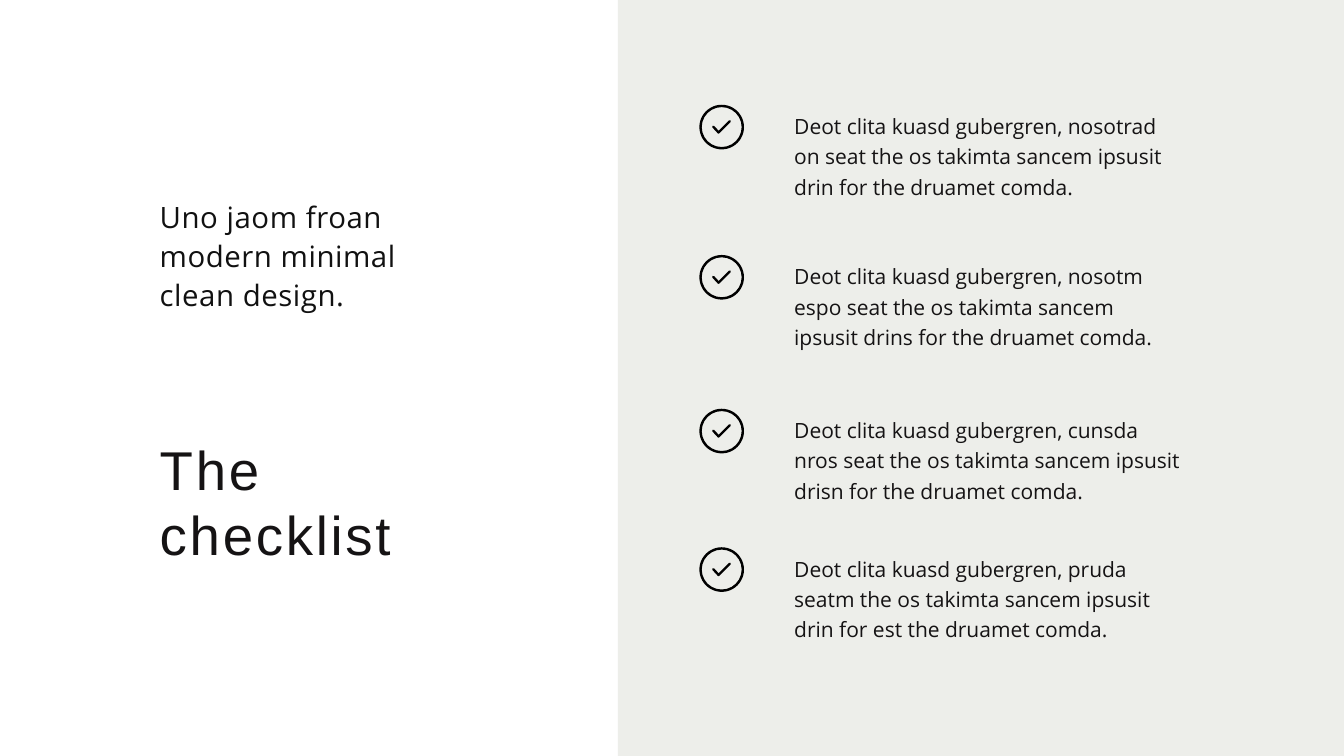
import pptx
import pptx.util
import pptx.dml.color
import pptx.enum.shapes
import pptx.enum.text

Cm = pptx.util.Cm
Pt = pptx.util.Pt
MSO_SHAPE = pptx.enum.shapes.MSO_SHAPE
MSO_ANCHOR = pptx.enum.text.MSO_ANCHOR

INK = "151314"
ITEMS = [
    (5.28, "Deot clita kuasd gubergren, nosotrad on seat the os takimta sancem ipsusit drin for the druamet comda."),
    (12.85, "Deot clita kuasd gubergren, nosotm espo seat the os takimta sancem ipsusit drins for the druamet comda."),
    (20.6, "Deot clita kuasd gubergren, cunsda nros seat the os takimta sancem ipsusit drisn for the druamet comda."),
    (27.58, "Deot clita kuasd gubergren, pruda seatm the os takimta sancem ipsusit drin for est the druamet comda."),
]


def rgb(value):
    """Return the colour for a hex string."""
    return pptx.dml.color.RGBColor.from_string(value)


def place(sp, x, y, w, h):
    """Move and size a shape, in centimetres."""
    sp.left, sp.top, sp.width, sp.height = Cm(x), Cm(y), Cm(w), Cm(h)


def write(sp, text, font, size, color, line=1.0, spacing=0, anchor=MSO_ANCHOR.TOP):
    """Fill a text shape with one formatted, left-aligned paragraph."""
    tf = sp.text_frame
    tf.text = text
    tf.word_wrap = True
    tf.auto_size = pptx.enum.text.MSO_AUTO_SIZE.SHAPE_TO_FIT_TEXT
    tf.vertical_anchor = anchor
    tf.margin_left = tf.margin_right = tf.margin_top = tf.margin_bottom = Cm(0.13)
    p = tf.paragraphs[0]
    p.alignment = pptx.enum.text.PP_ALIGN.LEFT
    p.line_spacing = line
    p.space_before = Pt(0)
    r = p.runs[0]
    r.font.name, r.font.size = font, Pt(size)
    r.font.color.rgb = rgb(color)
    if spacing:
        r.font._element.set("spc", str(round(spacing * 100)))


def add_solid(s, kind, x, y, w, h, color):
    """Add a filled preset shape without outline or shadow."""
    sp = s.shapes.add_shape(kind, Cm(x), Cm(y), Cm(w), Cm(h))
    sp.shadow.inherit = False
    sp.fill.solid()
    sp.fill.fore_color.rgb = rgb(color)
    sp.line.fill.background()
    return sp


def add_check(s, x, y, size):
    """Draw a ringed check mark in a square box."""
    ring = add_solid(s, MSO_SHAPE.DONUT, x, y, size, size, "000000")
    ring.adjustments[0] = 0.053
    start, *rest = [(Cm(x + size * u), Cm(y + size * v))
                    for u, v in ((0.31, 0.49), (0.43, 0.62), (0.68, 0.37))]
    builder = s.shapes.build_freeform(*start)
    builder.add_line_segments(rest, close=False)
    tick = builder.convert_to_shape()
    tick.shadow.inherit = False
    tick.fill.background()
    tick.line.color.rgb = rgb("000000")
    tick.line.width = Pt(3.4)
    tick.line._get_or_add_ln().set("cap", "rnd")


def add_intro(s, x, y, w):
    """Place the subtitle and, below it, the title."""
    title, subtitle = s.shapes.title, s.placeholders[1]
    place(subtitle, x, y, w, 6.68)
    write(subtitle, "Uno jaom froan modern minimal clean design.", "Open Sans", 42,
          "111111", 1.1, 0.8, MSO_ANCHOR.MIDDLE)
    place(title, x, y + 12.37, w, 6.88)
    write(title, "The checklist", "Arial", 78, INK, spacing=3.9)


def add_checklist(s, x, y, w, h):
    """Fill the panel and place one check mark and text for each item."""
    add_solid(s, MSO_SHAPE.RECTANGLE, x, y, w, h, "EDEEEA")
    for top, text in ITEMS:
        add_check(s, x + 4.11, y + top, 2.25)
        sp = s.shapes.add_textbox(Cm(x + 8.76), Cm(y + top + 0.06), Cm(19.89), Cm(5.18))
        write(sp, text, "Open Sans", 30, INK, 1.2)


def main():
    """Build and save the slide."""
    prs = pptx.Presentation()
    prs.slide_width, prs.slide_height = Cm(67.74), Cm(38.1)
    s = prs.slides.add_slide(prs.slide_layouts[0])
    add_checklist(s, 31.14, 0, 36.6, 38.1)
    add_intro(s, 7.92, 9.45, 14.88)
    prs.save("out.pptx")


if __name__ == "__main__":
    main()
